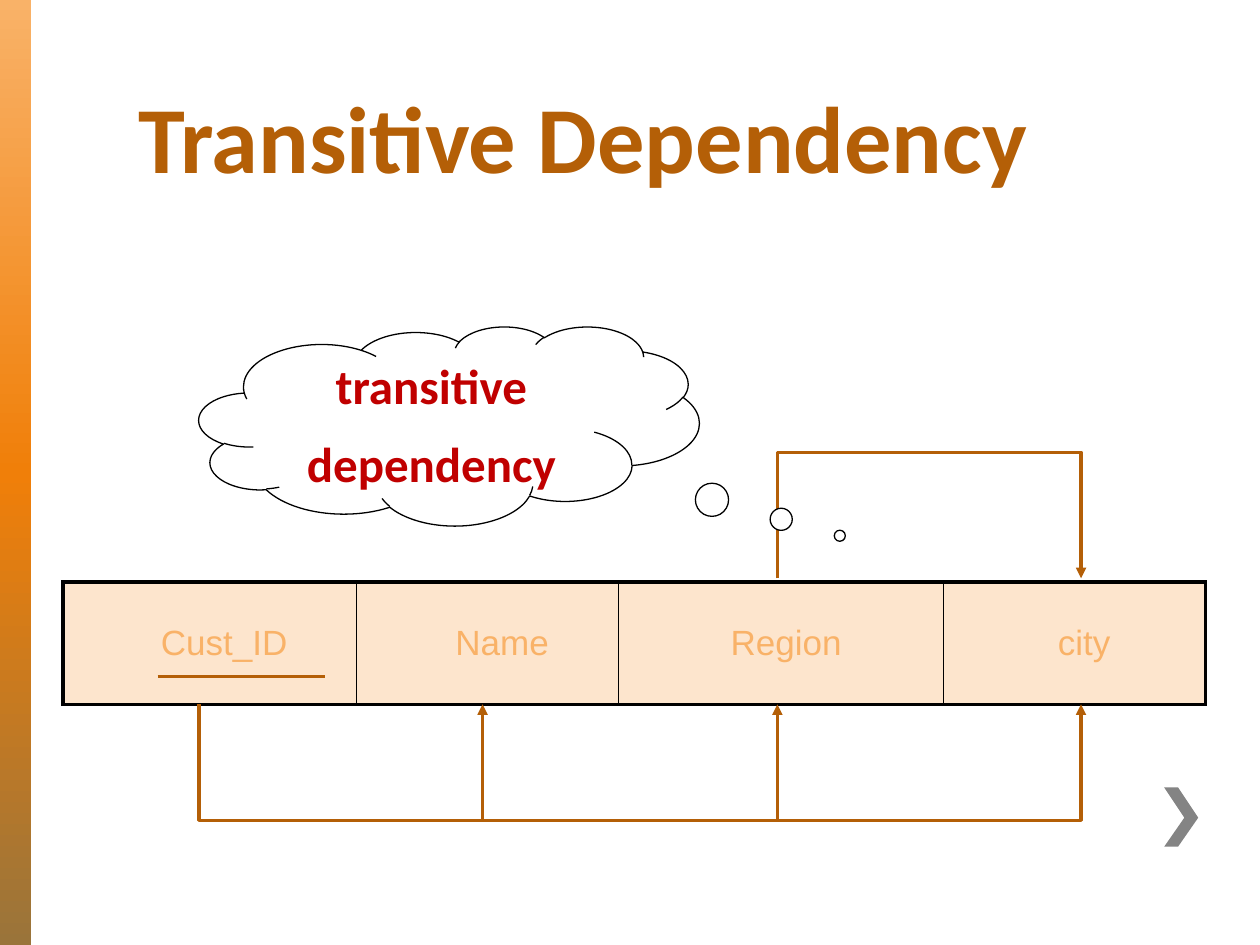
from pptx import Presentation
from pptx.dml.color import RGBColor
from pptx.enum.shapes import MSO_CONNECTOR, MSO_SHAPE
from pptx.enum.text import MSO_ANCHOR, PP_ALIGN
from pptx.oxml import parse_xml
from pptx.oxml.ns import nsdecls, qn
from pptx.util import Inches, Pt
from lxml.etree import SubElement

COLORS = {
    "accent": "B45F07",
    "cell": "FDE5CD",
    "cell_text": "F9B268",
    "callout_text": "C00000",
    "chevron": "848484",
    "black": "000000",
    "white": "FFFFFF",
}
BAR_STOPS = [(0, "F9B268"), (50, "F07F09"), (100, "9A743A")]


def rgb(name):
    return RGBColor.from_string(COLORS[name])


def write_text(frame, text, size, color, font="Calibri", bold=False,
               align=PP_ALIGN.LEFT, anchor=MSO_ANCHOR.TOP, before=0, spacing=1.0):
    """Write one paragraph for each line of text."""
    frame.word_wrap = True
    frame.vertical_anchor = anchor
    for index, line in enumerate(text.split("\n")):
        paragraph = frame.paragraphs[0] if index == 0 else frame.add_paragraph()
        paragraph.alignment = align
        paragraph.space_before = Pt(before)
        paragraph.line_spacing = spacing
        run = paragraph.add_run()
        run.text = line
        run.font.name = font
        run.font.size = Pt(size)
        run.font.bold = bold
        run.font.color.rgb = rgb(color)


def set_border(cell, side, width):
    line = SubElement(cell._tc.get_or_add_tcPr(), qn(f"a:ln{side}"), w=str(Pt(width)))
    fill = SubElement(line, qn("a:solidFill"))
    SubElement(fill, qn("a:srgbClr"), val=COLORS["black"])


class SlideBuilder:
    def __init__(self, slide, line_color="accent", line_width=2):
        self.slide = slide
        self.line_color = line_color
        self.line_width = line_width

    def gradient_bar(self, left, top, width, height, stops):
        shape = self.slide.shapes.add_shape(
            MSO_SHAPE.RECTANGLE, Inches(left), Inches(top), Inches(width), Inches(height))
        shape.shadow.inherit = False
        shape.line.fill.background()
        shape.fill.gradient()
        shape.fill.gradient_angle = 270
        stop_list = shape._element.spPr.find(qn("a:gradFill")).find(qn("a:gsLst"))
        for stop in list(stop_list):
            stop_list.remove(stop)
        for percent, color in stops:
            stop = SubElement(stop_list, qn("a:gs"), pos=str(percent * 1000))
            SubElement(stop, qn("a:srgbClr"), val=color)

    def text_box(self, left, top, width, height, text, **text_format):
        box = self.slide.shapes.add_textbox(
            Inches(left), Inches(top), Inches(width), Inches(height))
        write_text(box.text_frame, text, **text_format)

    def outline(self, points, close):
        builder = self.slide.shapes.build_freeform(
            Inches(points[0][0]), Inches(points[0][1]))
        builder.add_line_segments(
            [(Inches(x), Inches(y)) for x, y in points[1:]], close=close)
        shape = builder.convert_to_shape()
        shape.shadow.inherit = False
        return shape

    def polygon(self, points, color):
        shape = self.outline(points, close=True)
        shape.fill.solid()
        shape.fill.fore_color.rgb = rgb(color)
        shape.line.fill.background()

    def bent_arrow(self, points):
        shape = self.outline(points, close=False)
        shape.fill.background()
        self.style_line(shape.line, arrow=True)

    def line(self, start, end, arrow=False):
        connector = self.slide.shapes.add_connector(
            MSO_CONNECTOR.STRAIGHT, *(Inches(value) for value in (*start, *end)))
        connector._element.spPr.append(parse_xml(f"<a:effectLst {nsdecls('a')}/>"))
        self.style_line(connector.line, arrow)

    def style_line(self, line, arrow):
        line.color.rgb = rgb(self.line_color)
        line.width = Pt(self.line_width)
        if arrow:
            SubElement(line._get_or_add_ln(), qn("a:tailEnd"), type="triangle")

    def table_row(self, left, top, height, columns, **text_format):
        """Add a one-row table; columns holds (text, width, extra left margin)."""
        total = sum(width for _, width, _ in columns)
        table = self.slide.shapes.add_table(
            1, len(columns), Inches(left), Inches(top), Inches(total), Inches(height)).table
        table.first_row = table.horz_banding = False
        last = len(columns) - 1
        for index, (text, width, indent) in enumerate(columns):
            table.columns[index].width = Inches(width)
            cell = table.cell(0, index)
            cell.margin_left = Inches(0.1 + indent)
            write_text(cell.text_frame, text, **text_format)
            cell.vertical_anchor = MSO_ANCHOR.MIDDLE
            set_border(cell, "L", 2.25 if index == 0 else 1)
            set_border(cell, "R", 2.25 if index == last else 1)
            set_border(cell, "T", 2.25)
            set_border(cell, "B", 2.25)
            cell.fill.solid()
            cell.fill.fore_color.rgb = rgb("cell")

    def thought_cloud(self, left, top, width, height, tail, text, **text_format):
        shape = self.slide.shapes.add_shape(
            MSO_SHAPE.CLOUD_CALLOUT, Inches(left), Inches(top), Inches(width), Inches(height))
        shape.shadow.inherit = False
        shape.adjustments[0], shape.adjustments[1] = tail
        shape.fill.solid()
        shape.fill.fore_color.rgb = rgb("white")
        shape.line.color.rgb = rgb("black")
        shape.line.width = Pt(0.75)
        write_text(shape.text_frame, text, **text_format)


def main():
    presentation = Presentation()
    presentation.slide_width = Inches(10)
    presentation.slide_height = Inches(7.5)
    builder = SlideBuilder(presentation.slides.add_slide(presentation.slide_layouts[6]))

    builder.gradient_bar(0, 0, 0.25, 7.5, BAR_STOPS)
    builder.polygon([(9.35, 6.25), (9.24, 6.25), (9.4, 6.49), (9.24, 6.72),
                     (9.35, 6.72), (9.51, 6.49)], "chevron")
    builder.text_box(1, 0.33, 7.92, 1.25, "Transitive Dependency", size=54,
                     color="accent", bold=True, anchor=MSO_ANCHOR.BOTTOM)

    columns = [("Cust_ID", 2.33, 0.23), ("Name", 2.08, 0.23),
               ("Region", 2.58, 0.08), ("city", 2.08, 0.15)]
    builder.table_row(0.5, 4.62, 0.97, columns, size=20, color="cell_text",
                      font="Arial", align=PP_ALIGN.CENTER, before=4)
    builder.line((1.25, 5.37), (2.58, 5.37))

    key_x, name_x, region_x, city_x = 1.58, 3.83, 6.17, 8.58
    table_bottom, lower_y = 5.59, 6.51
    table_top, upper_y = 4.59, 3.59
    builder.bent_arrow([(key_x, table_bottom), (key_x, lower_y),
                        (city_x, lower_y), (city_x, table_bottom)])
    for x in (name_x, region_x):
        builder.line((x, lower_y), (x, table_bottom), arrow=True)
    builder.bent_arrow([(region_x, table_top), (region_x, upper_y),
                        (city_x, upper_y), (city_x, table_top)])

    builder.thought_cloud(1.58, 2.59, 3.97, 1.58, (0.781, 0.552),
                          "transitive\ndependency", size=28, color="callout_text",
                          bold=True, align=PP_ALIGN.CENTER, before=14, spacing=0.9)
    presentation.save("out.pptx")


if __name__ == "__main__":
    main()
